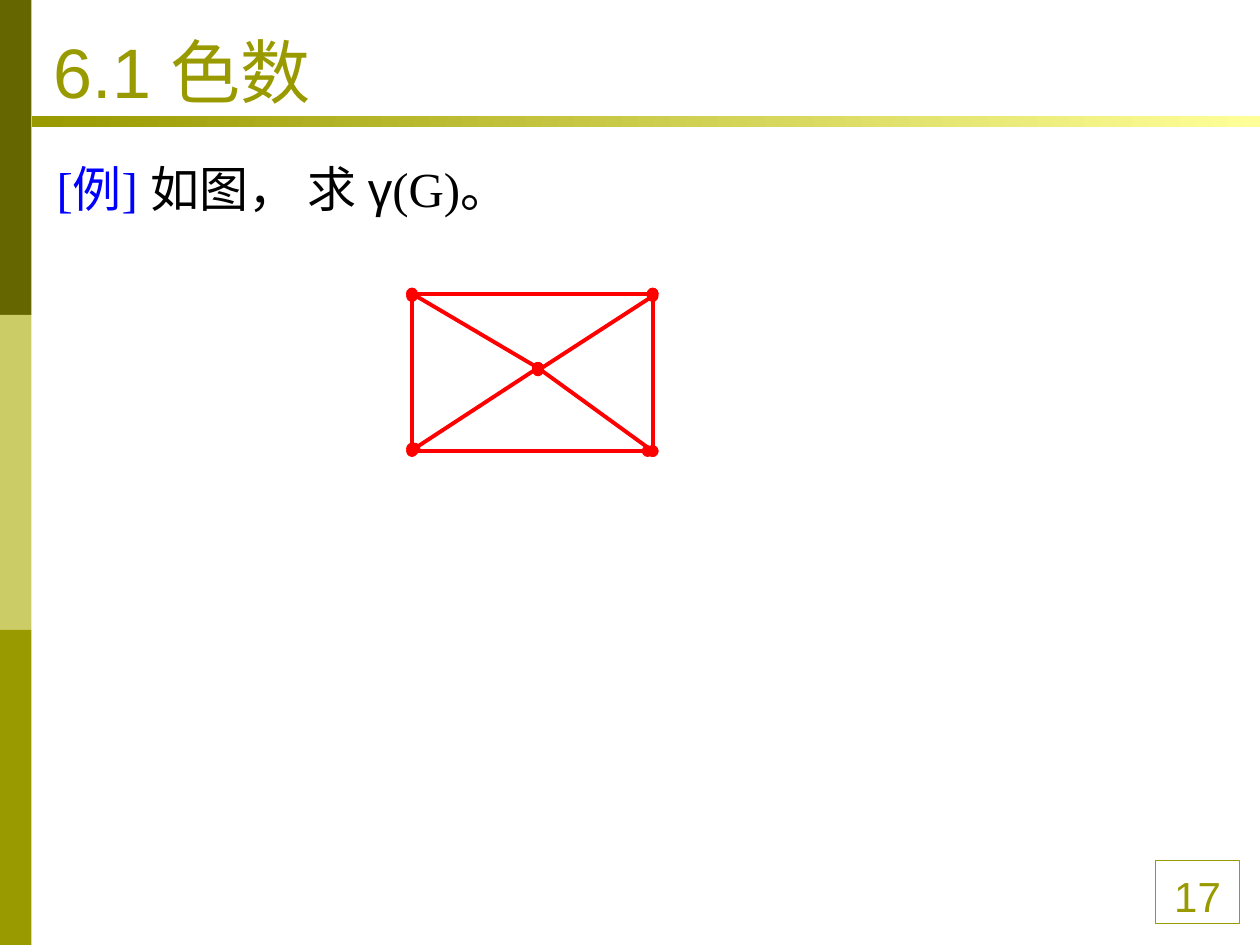
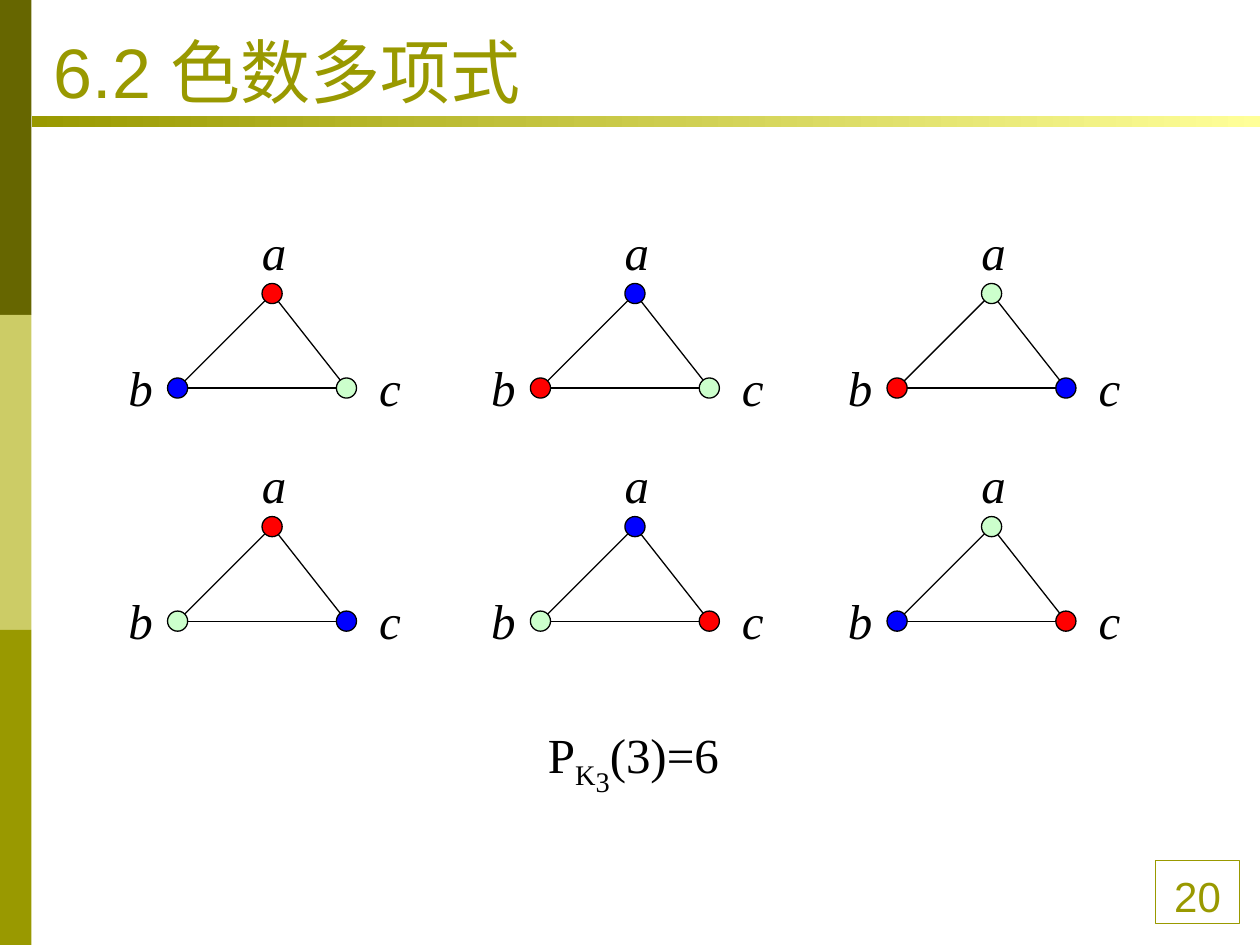
from lxml import etree
from pptx import Presentation
from pptx import util as u
from pptx.dml.color import RGBColor
from pptx.enum import shapes, text
from pptx.oxml import ns

OLIVE = RGBColor(0x99, 0x99, 0x00)
DARK_OLIVE = RGBColor(0x66, 0x66, 0x00)
LIGHT_OLIVE = RGBColor(0xCC, 0xCC, 0x66)
PALE_YELLOW = RGBColor(0xFF, 0xFF, 0x99)
BLACK = RGBColor(0, 0, 0)
RED = RGBColor(0xFF, 0, 0)
BLUE = RGBColor(0, 0, 0xFF)
MINT = RGBColor(0xCC, 0xFF, 0xCC)
SANS, SERIF = "Arial", "Times New Roman"


def write(para, words, size=28, font=SERIF, color=BLACK, italic=False, baseline=0):
    """Add one formatted span to a paragraph."""
    span = para.add_run()
    span.text = words
    span.font.size = u.Pt(size)
    span.font.name = font
    span.font.color.rgb = color
    span.font.italic = italic
    if baseline:
        span.font._element.set("baseline", str(baseline * 1000))


class Lecture:
    def __init__(self):
        self.deck = Presentation()
        self.deck.slide_width, self.deck.slide_height = u.Inches(10), u.Inches(7.5)
        self.page = None

    def add_page(self, title, number):
        self.page = self.deck.slides.add_slide(self.deck.slide_layouts[6])
        # Side band in three equal parts
        for row, color in enumerate((DARK_OLIVE, LIGHT_OLIVE, OLIVE)):
            self.shape(0, 2.5 * row, 0.25, 2.5, fill=color)
        # Page number
        box = self.shape(9.17, 6.83, 0.67, 0.5, line=OLIVE)
        box.text_frame.margin_top, box.text_frame.margin_bottom = u.Inches(0.08), 0
        box.text_frame.vertical_anchor = text.MSO_ANCHOR.TOP
        para = box.text_frame.paragraphs[0]
        para.alignment = text.PP_ALIGN.CENTER
        write(para, number, size=24, font=SANS, color=OLIVE)
        # Rule under the title
        rule = self.shape(0.25, 0.92, 9.75, 0.09, fill=OLIVE)
        rule.fill.gradient()
        rule.fill.gradient_angle = 0
        for stop, color in zip(rule.fill.gradient_stops, (OLIVE, PALE_YELLOW)):
            stop.color.rgb = color
        # Title
        para = self.text_box(0.33, 0.08, 9, 0.86, anchor=text.MSO_ANCHOR.BOTTOM)
        write(para, title, size=40, font=SANS, color=OLIVE)

    def shape(self, left, top, width, height, fill=None, line=None,
              kind=shapes.MSO_SHAPE.RECTANGLE):
        shape = self.page.shapes.add_shape(
            kind, u.Inches(left), u.Inches(top), u.Inches(width), u.Inches(height))
        shape.shadow.inherit = False
        if fill is None:
            shape.fill.background()
        else:
            shape.fill.solid()
            shape.fill.fore_color.rgb = fill
        if line is None:
            shape.line.fill.background()
        else:
            shape.line.color.rgb = line
            shape.line.width = u.Pt(0.75)
        return shape

    def text_box(self, left, top, width, height, anchor=text.MSO_ANCHOR.TOP, wrap=True):
        """Add a text box and return its first paragraph."""
        box = self.page.shapes.add_textbox(
            u.Inches(left), u.Inches(top), u.Inches(width), u.Inches(height))
        box.text_frame.word_wrap = wrap
        box.text_frame.vertical_anchor = anchor
        return box.text_frame.paragraphs[0]

    def body(self, left, top, width, height, spacing):
        """Add a text box with a hanging indent."""
        para = self.text_box(left, top, width, height)
        para.line_spacing = spacing
        properties = para._p.get_or_add_pPr()
        properties.set("marL", str(u.Inches(0.67)))
        properties.set("indent", str(u.Inches(-0.67)))
        return para

    def edge(self, start, end, color=BLACK, weight=0.75, dots=False):
        points = [u.Inches(value) for value in (*start, *end)]
        line = self.page.shapes.add_connector(shapes.MSO_CONNECTOR.STRAIGHT, *points)
        line.line.color.rgb = color
        line.line.width = u.Pt(weight)
        if dots:
            for tag in ("a:headEnd", "a:tailEnd"):
                etree.SubElement(line.line._get_or_add_ln(), ns.qn(tag), type="oval")
        etree.SubElement(line._element.spPr, ns.qn("a:effectLst"))

    def triangle(self, x, y, colors):
        """Draw triangle abc with its apex a at (x, y)."""
        a, b, c = corners = [(x, y), (x - 0.75, y + 0.75), (x + 0.59, y + 0.75)]
        for start, end in ((a, b), (b, c), (a, c)):
            self.edge(start, end)
        for name, dx, dy in (("a", -0.18, -0.62), ("b", -1.24, 0.46), ("c", 0.75, 0.46)):
            para = self.text_box(x + dx, y + dy, 0.39, 0.57, wrap=False)
            write(para, name, italic=True)
        for (node_x, node_y), color in zip(corners, colors):
            self.shape(node_x - 0.08, node_y - 0.08, 0.16, 0.16, fill=color,
                       line=BLACK, kind=shapes.MSO_SHAPE.OVAL)


def chromatic_number(lecture):
    lecture.add_page("6.1 色数", "17")
    para = lecture.body(0.35, 1.07, 9.31, 0.71, spacing=1.3)
    write(para, "[例] ", color=BLUE)
    write(para, "如图， 求 ")
    write(para, "γ", font=SANS)
    write(para, "(G)。")
    # Wheel graph: four corners and a hub
    top_left, top_right, bottom_right = (3.27, 2.33), (5.18, 2.33), (5.18, 3.58)
    hub = (4.27, 2.92)
    for start, end in (
        (top_left, top_right),
        ((3.27, 3.58), (5.14, 3.58)),
        ((3.29, 3.56), hub),
        (top_left, hub),
        ((5.18, 2.35), (4.27, 2.94)),
        (hub, bottom_right),
        (top_right, bottom_right),
        ((3.27, 2.35), (3.27, 3.56)),
    ):
        lecture.edge(start, end, color=RED, weight=2.25, dots=True)


def chromatic_polynomial(lecture):
    lecture.add_page("6.2 色数多项式", "20")
    para = lecture.body(4.25, 5.58, 1.67, 0.85, spacing=1.2)
    write(para, "P")
    write(para, "K", baseline=-25)
    write(para, "3", baseline=-40)
    write(para, "(3)=6")
    # All six colourings: the apex colour is fixed in each column
    columns = (
        (2.16, RED, BLUE, MINT),
        (5.04, BLUE, RED, MINT),
        (7.87, MINT, RED, BLUE),
    )
    for x, apex, first, second in columns:
        lecture.triangle(x, 2.33, (apex, first, second))
        lecture.triangle(x, 4.18, (apex, second, first))


def main():
    lecture = Lecture()
    chromatic_number(lecture)
    chromatic_polynomial(lecture)
    lecture.deck.save("out.pptx")


if __name__ == "__main__":
    main()
